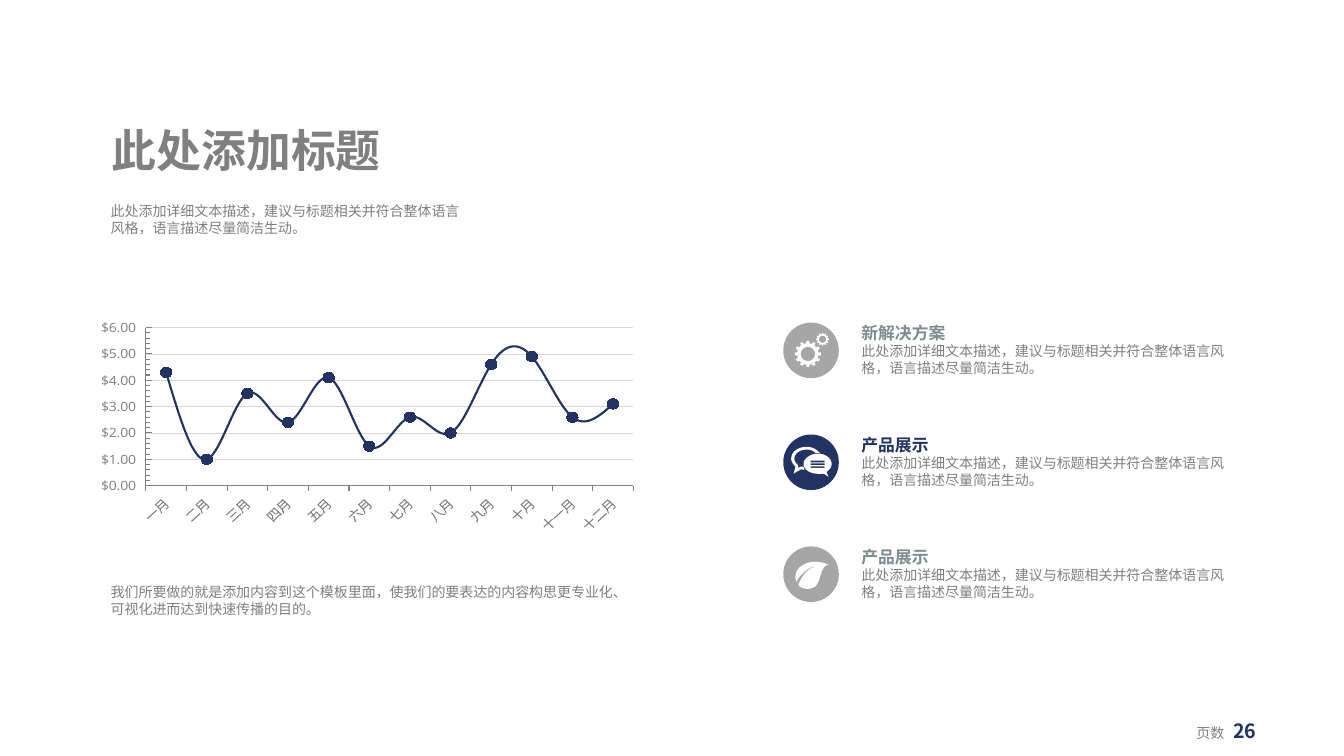
from dataclasses import dataclass
from math import cos, pi, sin

from lxml.etree import SubElement
from pptx import Presentation
from pptx.chart.data import CategoryChartData
from pptx.dml.color import RGBColor
from pptx.enum.chart import XL_CHART_TYPE, XL_MARKER_STYLE, XL_TICK_LABEL_POSITION, XL_TICK_MARK
from pptx.enum.shapes import MSO_SHAPE
from pptx.enum.text import MSO_ANCHOR, PP_ALIGN
from pptx.oxml import parse_xml
from pptx.oxml.ns import nsdecls, qn
from pptx.util import Cm, Pt

Point = tuple[float, float]
Contour = list[Point]


@dataclass(frozen=True)
class Theme:
    """Colours, fonts and type sizes of the deck."""
    navy: str = "223262"
    grey: str = "808080"
    slate: str = "7F8C8D"
    disc: str = "A6A6A6"
    grid: str = "D9D9D9"
    white: str = "FFFFFF"
    font: str = "Noto Sans CJK SC"
    axis_font: str = "Open Sans"
    title: int = 32
    number: int = 14
    heading: int = 12
    body: int = 10
    leading: float = 1.2


@dataclass(frozen=True)
class Feature:
    """One icon with its heading."""
    heading: str
    heading_color: str
    disc_color: str
    icon: list[list[Contour]]


THEME = Theme()
DESCRIPTION = "此处添加详细文本描述，建议与标题相关并符合整体语言风格，语言描述尽量简洁生动。"
SUMMARY = "我们所要做的就是添加内容到这个模板里面，使我们的要表达的内容构思更专业化、可视化进而达到快速传播的目的。"
MONTHS = ["一月", "二月", "三月", "四月", "五月", "六月", "七月", "八月", "九月", "十月", "十一月", "十二月"]
VALUES = [4.3, 1, 3.5, 2.4, 4.1, 1.5, 2.6, 2, 4.6, 4.9, 2.6, 3.1]
DISC_SIZE, DISC_X, FIRST_DISC_Y, FEATURE_STEP = 1.4, 20.44, 8.83, 2.82

LEAF = [(-.09, -.09), (.04, -.19, .17, -.24, .29, -.24), (.14, -.24, .01, -.19, -.11, -.11),
        (-.24, -.01, -.32, .09, -.37, .19), (-.42, .06, -.39, -.09, -.27, -.19),
        (.06, -.44, .44, -.24, .44, -.24), (.22, -.22, .27, .17, .09, .32),
        (-.04, .39, -.22, .39, -.32, .27), (-.32, .27, -.24, .04, -.09, -.09)]
BACK_BUBBLE = [(-.34, .06), (-.39, .01, -.42, -.04, -.42, -.09), (-.42, -.22, -.29, -.32, -.11, -.32),
               (-.01, -.32, .06, -.29, .11, -.24), (.14, -.24, .18, -.24, .22, -.24),
               (.14, -.32, .04, -.39, -.11, -.39), (-.32, -.39, -.5, -.27, -.5, -.09),
               (-.5, -.01, -.44, .06, -.39, .11), (-.44, .29), (-.37, .24),
               (-.32, .22, -.27, .19, -.24, .17), (-.22, .19, -.19, .19, -.17, .19),
               (-.17, .17, -.19, .14, -.19, .11), (-.22, .11, -.24, .11, -.24, .11),
               (-.24, .11, -.27, .11, -.34, .14), (-.32, .09)]
FRONT_BUBBLE = [(.52, .04), (.52, -.09, .37, -.22, .17, -.22), (-.01, -.22, -.19, -.09, -.19, .04),
                (-.19, .19, -.01, .29, .17, .29), (.22, .29, .27, .29, .29, .29),
                (.32, .27, .44, .37, .44, .37), (.39, .24), (.47, .19, .52, .11, .52, .04)]


def trace(steps: list[tuple[float, ...]], samples: int = 12) -> Contour:
    """Turn points and cubic curve steps into a fine polyline."""
    points: Contour = []
    for step in steps:
        if len(step) == 2:
            points.append(step)
            continue
        knots = [points[-1], step[:2], step[2:4], step[4:]]
        for index in range(1, samples + 1):
            t = index / samples
            weights = [(1 - t) ** 3, 3 * t * (1 - t) ** 2, 3 * t * t * (1 - t), t ** 3]
            points.append(tuple(sum(w * knot[axis] for w, knot in zip(weights, knots)) for axis in (0, 1)))
    return points


def gear(x: float, y: float, outer: float, root: float, hole: float, teeth: int = 12) -> list[Contour]:
    """Return a toothed wheel and its round hole."""
    def polar(radius: float, turn: float) -> Point:
        return x + radius * cos(2 * pi * turn), y + radius * sin(2 * pi * turn)

    profile = [(root, -.3), (outer, -.2), (outer, .2), (root, .3)]
    rim = [polar(radius, (tooth + shift) / teeth) for tooth in range(teeth) for radius, shift in profile]
    return [rim, [polar(hole, -step / 36) for step in range(36)]]


def text_bars(left: float = -.01, right: float = .34, height: float = .04) -> list[Contour]:
    """Return the three lines of writing cut out of the front bubble."""
    tops = [-.04 + .07 * row for row in range(3)]
    return [[(left, top), (left, top + height), (right, top + height), (right, top)] for top in tops]


def paint(shape, color: str) -> None:
    """Give a shape a plain fill without line or shadow."""
    shape.shadow.inherit = False
    shape.fill.solid()
    shape.fill.fore_color.rgb = RGBColor.from_string(color)
    shape.line.fill.background()


def draw_outline(page, contours: list[Contour], center: Point) -> None:
    """Draw contours as one white freeform around a centre."""
    placed = [[(Cm(center[0] + x), Cm(center[1] + y)) for x, y in contour] for contour in contours]
    builder = page.shapes.build_freeform(*placed[0][0])
    builder.add_line_segments(placed[0][1:])
    for contour in placed[1:]:
        builder.move_to(*contour[0])
        builder.add_line_segments(contour[1:])
    paint(builder.convert_to_shape(), THEME.white)


def add_span(para, text: str, *, size: int = THEME.body, color: str = THEME.grey, bold: bool = False) -> None:
    """Add formatted text to a paragraph."""
    span = para.add_run()
    span.text = text
    span.font.name = THEME.font
    span.font.size = Pt(size)
    span.font.bold = bold
    span.font.color.rgb = RGBColor.from_string(color)
    SubElement(span.font._element, qn("a:ea"), typeface=THEME.font)
    para.line_spacing = Pt(round(size * THEME.leading, 1))


def add_box(page, left: float, top: float, width: float, height: float):
    """Add a wrapping text box and return its frame."""
    frame = page.shapes.add_textbox(Cm(left), Cm(top), Cm(width), Cm(height)).text_frame
    frame.word_wrap = True
    return frame


def add_title(page) -> None:
    """Move and format the title placeholder."""
    box = page.shapes.title
    box.left, box.top, box.width, box.height = Cm(2.54), Cm(2.97), Cm(7.34), Cm(1.63)
    box.text_frame.word_wrap = False
    box.text_frame.vertical_anchor = MSO_ANCHOR.TOP
    para = box.text_frame.paragraphs[0]
    para.alignment = PP_ALIGN.CENTER
    add_span(para, "此处添加标题", size=THEME.title, bold=True)


def add_page_number(page) -> None:
    """Add the page label with its number on a tab stop."""
    para = add_box(page, 29.9, 17.98, 2.3, .86).paragraphs[0]
    tabs = SubElement(para._p.get_or_add_pPr(), qn("a:tabLst"))
    SubElement(tabs, qn("a:tab"), pos=str(Cm(.93)), algn="l")
    add_span(para, "页数\t")
    add_span(para, "26", size=THEME.number, color=THEME.navy, bold=True)


def add_month_chart(page) -> None:
    """Add the smoothed line chart of monthly values."""
    data = CategoryChartData()
    data.categories = MONTHS
    data.add_series("Series 1", VALUES)
    chart = page.shapes.add_chart(XL_CHART_TYPE.LINE_MARKERS_STACKED, Cm(2.54), Cm(7.19),
                                  Cm(13.67), Cm(6.27), data).chart
    chart.has_legend = chart.has_title = False
    chart.font.name = THEME.font
    navy, grey = RGBColor.from_string(THEME.navy), RGBColor.from_string(THEME.grey)
    for axis, tick in ((chart.category_axis, XL_TICK_MARK.OUTSIDE), (chart.value_axis, XL_TICK_MARK.INSIDE)):
        axis.major_tick_mark = tick
        axis.tick_label_position = XL_TICK_LABEL_POSITION.LOW
        labels = axis.tick_labels.font
        labels.name, labels.size, labels.color.rgb = THEME.axis_font, Pt(THEME.body), grey
        axis.format.line.color.rgb = grey
        axis.format.line.width = Pt(.75)
    chart.category_axis._element.find(qn("c:txPr")).find(qn("a:bodyPr")).set("rot", "-2700000")
    money = chart.value_axis
    money.minimum_scale, money.maximum_scale, money.major_unit, money.minor_unit = 0, 6, 1, .2
    money.minor_tick_mark = XL_TICK_MARK.INSIDE
    money.tick_labels.number_format = "[$$-1009]#,##0.00"
    money.tick_labels.number_format_is_linked = False
    money.major_gridlines.format.line.color.rgb = RGBColor.from_string(THEME.grid)
    money.major_gridlines.format.line.width = Pt(.5)
    plot = chart.plots[0]
    plot.vary_by_categories = False
    series = plot.series[0]
    series.smooth = True
    series.format.line.color.rgb = navy
    series.format.line.width = Pt(1.5)
    series.marker.style, series.marker.size = XL_MARKER_STYLE.CIRCLE, 8
    series.marker.format.fill.solid()
    series.marker.format.fill.fore_color.rgb = navy
    series.marker.format.line.color.rgb = navy
    area = chart._chartSpace.chart.plotArea
    for old in area.findall(qn("c:layout")):
        area.remove(old)
    settings = {"layoutTarget": "inner", "xMode": "edge", "yMode": "edge",
                "x": .083, "y": .186, "w": .899, "h": .696}
    parts = "".join(f'<c:{name} val="{value}"/>' for name, value in settings.items())
    layout = f'<c:layout {nsdecls("c")}><c:manualLayout>{parts}</c:manualLayout></c:layout>'
    area.insert(0, parse_xml(layout))


def add_feature(page, feature: Feature, center_y: float) -> None:
    """Add an icon disc with a heading and description beside it."""
    radius = DISC_SIZE / 2
    disc = page.shapes.add_shape(MSO_SHAPE.OVAL, Cm(DISC_X - radius), Cm(center_y - radius),
                                 Cm(DISC_SIZE), Cm(DISC_SIZE))
    paint(disc, feature.disc_color)
    for contours in feature.icon:
        draw_outline(page, contours, (DISC_X, center_y))
    frame = add_box(page, 21.46, center_y - .83, 9.86, 1.62)
    add_span(frame.paragraphs[0], feature.heading, size=THEME.heading, color=feature.heading_color, bold=True)
    add_span(frame.add_paragraph(), DESCRIPTION)


def main() -> None:
    """Build and save the deck."""
    deck = Presentation()
    deck.slide_width, deck.slide_height = Cm(33.87), Cm(19.05)
    page = deck.slides.add_slide(deck.slide_layouts[5])
    add_title(page)
    add_span(add_box(page, 2.54, 4.98, 9.5, 1.12).paragraphs[0], DESCRIPTION)
    add_month_chart(page)
    add_span(add_box(page, 2.54, 14.58, 13.51, 1.12).paragraphs[0], SUMMARY)
    gears = [gear(-.08, .09, .33, .27, .18), gear(.29, -.28, .16, .13, .09)]
    bubbles = [[trace(BACK_BUBBLE)], [trace(FRONT_BUBBLE), *text_bars()]]
    features = [Feature("新解决方案", THEME.slate, THEME.disc, gears),
                Feature("产品展示", THEME.navy, THEME.navy, bubbles),
                Feature("产品展示", THEME.slate, THEME.disc, [[trace(LEAF)]])]
    for index, feature in enumerate(features):
        add_feature(page, feature, FIRST_DISC_Y + index * FEATURE_STEP)
    add_page_number(page)
    deck.save("out.pptx")


if __name__ == "__main__":
    main()
